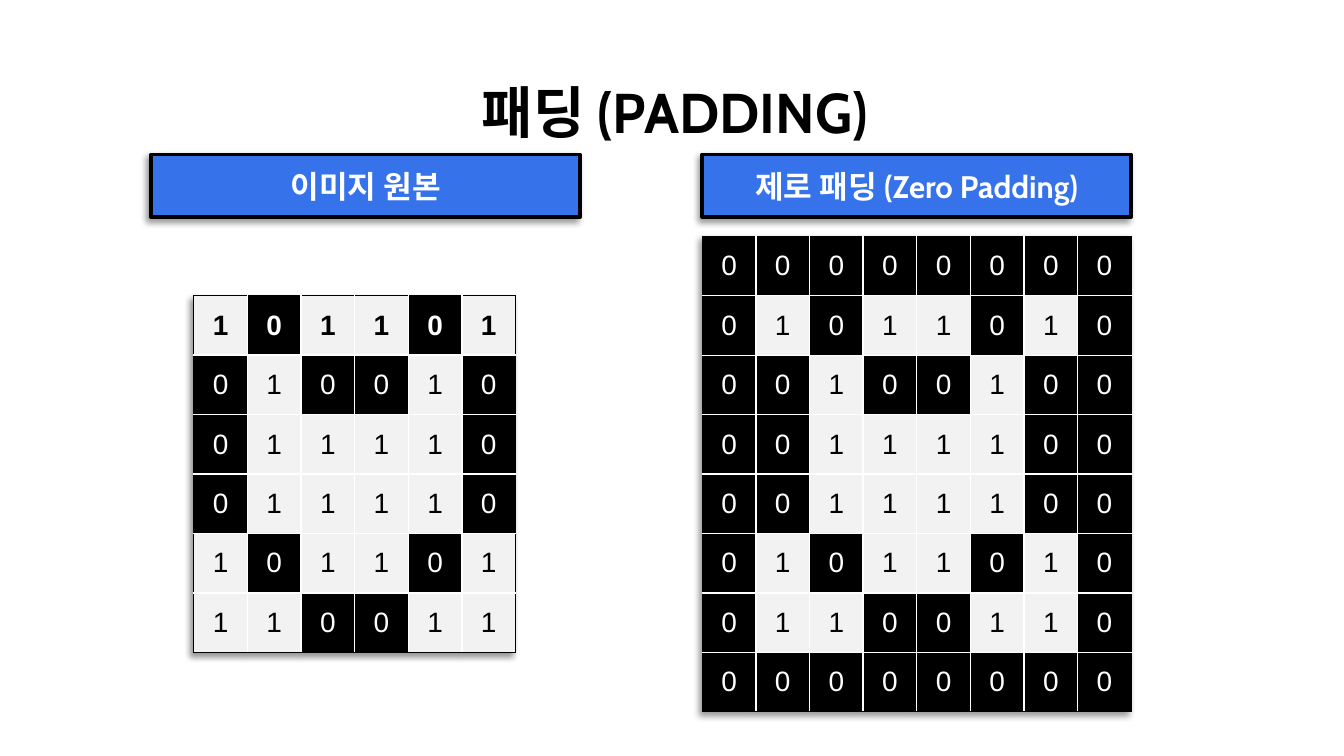
from lxml.etree import SubElement
from pptx import Presentation
from pptx.dml.color import RGBColor
from pptx.enum.shapes import MSO_SHAPE
from pptx.enum.text import MSO_ANCHOR, PP_ALIGN
from pptx.oxml import parse_xml
from pptx.oxml.ns import nsdecls, qn
from pptx.util import Inches, Pt

BLACK, WHITE, LIGHT, BLUE = "000000", "FFFFFF", "F2F2F2", "3673EB"
CELL_W, CELL_H = 0.479, 0.531
IMAGE = ["101101", "010010", "011110", "011110", "101101", "110011"]


def rgb(color):
    return RGBColor.from_string(color)


def zero_pad(rows):
    """Surround the rows with a ring of zeros."""
    edge = "0" * (len(rows[0]) + 2)
    return [edge, *(f"0{row}0" for row in rows), edge]


def shadow_xml():
    """Soft shadow falling to the lower left."""
    return parse_xml(
        f'<a:effectLst {nsdecls("a")}>'
        f'<a:outerShdw blurRad="{Pt(4)}" dist="{Pt(3)}" dir="8100000" algn="tr" rotWithShape="0">'
        f'<a:srgbClr val="{BLACK}"><a:alpha val="40000"/></a:srgbClr>'
        '</a:outerShdw></a:effectLst>')


def write_text(tf, text, size, font, color, bold=False):
    p = tf.paragraphs[0]
    p.alignment = PP_ALIGN.CENTER
    r = p.add_run()
    r.text = text
    r.font.size = Pt(size)
    r.font.name = font
    r.font.bold = bold
    r.font.color.rgb = rgb(color)
    return p


def add_title(s, text):
    tf = s.shapes.add_textbox(Inches(0.57), Inches(0.7), Inches(10.91), Inches(0.65)).text_frame
    tf.word_wrap = True
    tf.vertical_anchor = MSO_ANCHOR.BOTTOM
    write_text(tf, text, 36, "Cabin", BLACK, bold=True).line_spacing = 0.9


def add_heading(s, left, text):
    sp = s.shapes.add_shape(MSO_SHAPE.RECTANGLE, Inches(left), Inches(1.38),
                            Inches(3.83), Inches(0.56))
    sp.fill.solid()
    sp.fill.fore_color.rgb = rgb(BLUE)
    sp.line.color.rgb = rgb(BLACK)
    sp.line.width = Pt(2.25)
    sp.shadow.inherit = False
    effects = sp._element.spPr.find(qn("a:effectLst"))
    effects.getparent().replace(effects, shadow_xml())
    sp.text_frame.vertical_anchor = MSO_ANCHOR.MIDDLE
    write_text(sp.text_frame, text, 20, "Cabin", WHITE, bold=True)


def set_borders(cell, colors):
    """Draw 1 pt borders, given in the order left, right, top, bottom."""
    tc_pr = cell._tc.get_or_add_tcPr()
    for side, color in zip("LRTB", colors):
        ln = SubElement(tc_pr, qn(f"a:ln{side}"), w=str(Pt(1)))
        SubElement(SubElement(ln, qn("a:solidFill")), qn("a:srgbClr"), val=color)


def add_pixel_grid(s, left, top, rows, bold_first=False):
    n_rows, n_cols = len(rows), len(rows[0])
    table = s.shapes.add_table(n_rows, n_cols, Inches(left), Inches(top),
                               Inches(n_cols * CELL_W), Inches(n_rows * CELL_H)).table
    table.first_row = table.horz_banding = False
    table._tbl.tblPr.insert(0, shadow_xml())
    for col in table.columns:
        col.width = Inches(CELL_W)
    for i, row in enumerate(rows):
        table.rows[i].height = Inches(CELL_H)
        for j, pixel in enumerate(row):
            cell = table.cell(i, j)
            outer = (j == 0, j == n_cols - 1, i == 0, i == n_rows - 1)
            set_borders(cell, [BLACK if edge else WHITE for edge in outer])
            fill, ink = (LIGHT, BLACK) if pixel == "1" else (BLACK, WHITE)
            cell.fill.solid()
            cell.fill.fore_color.rgb = rgb(fill)
            cell.vertical_anchor = MSO_ANCHOR.MIDDLE
            write_text(cell.text_frame, pixel, 18, "Arial", ink, bold_first and i == 0)


def main():
    prs = Presentation()
    prs.slide_width, prs.slide_height = Inches(12), Inches(6.75)
    s = prs.slides.add_slide(prs.slide_layouts[6])
    add_heading(s, 1.35, "이미지 원본")
    add_pixel_grid(s, 6.27, 2.11, zero_pad(IMAGE))
    add_heading(s, 6.27, "제로 패딩 (Zero Padding)")
    add_pixel_grid(s, 1.73, 2.64, IMAGE, bold_first=True)
    add_title(s, "패딩 (PADDING)")
    prs.save("out.pptx")


if __name__ == "__main__":
    main()
